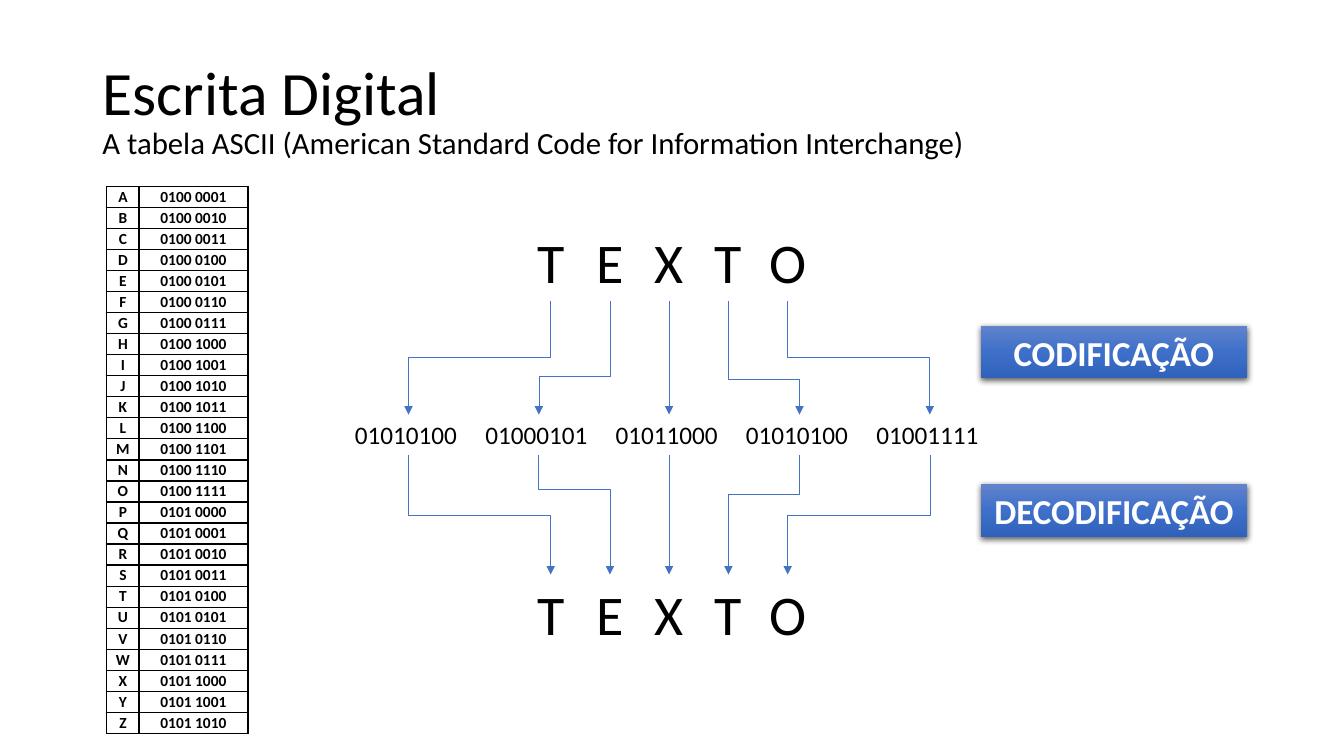
from copy import deepcopy

from pptx import Presentation
from pptx.dml.color import RGBColor
from pptx.enum.shapes import MSO_CONNECTOR as Link, MSO_SHAPE as Preset
from pptx.enum.text import MSO_ANCHOR as Anchor, MSO_AUTO_SIZE as AutoSize, PP_ALIGN as Align
from pptx.oxml import parse_xml
from pptx.oxml.ns import nsdecls, qn
from pptx.oxml.xmlchemy import OxmlElement
from pptx.util import Pt

COLORS = {
    "text": "000000", "grid": "000000", "arrow": "4472C4", "label": "FFFFFF",
    "label_top": "6183CB", "label_middle": "3E70CA", "label_bottom": "3062BB",
    "shadow": "000000",
}
FONT = "Calibri"
WORD = "TEXTO"
LETTER_PITCH, CODE_PITCH = 42.3, 93.1
LETTER_SIZE, CODE_SIZE = (44.6, 55.7), (90.7, 29.1)


def color(name):
    return RGBColor.from_string(COLORS[name])


def binary(letter):
    return f"{ord(letter):08b}"


def style(run, size, color_name="text", bold=False):
    for key, value in {"name": FONT, "size": Pt(size), "bold": bold}.items():
        setattr(run.font, key, value)
    run.font.color.rgb = color(color_name)


def add_title(slide, box, heading, subtitle):
    title = slide.shapes.title
    for key, value in zip(("left", "top", "width", "height"), box):
        setattr(title, key, Pt(value))
    frame = title.text_frame
    frame.auto_size = AutoSize.NONE
    frame.vertical_anchor = Anchor.MIDDLE
    line = frame.paragraphs[0]
    line.alignment, line.line_spacing = Align.LEFT, 0.9
    heading_run = line.add_run()
    heading_run.text = heading
    style(heading_run, 44)
    line.add_line_break()
    subtitle_run = line.add_run()
    subtitle_run.text = subtitle
    style(subtitle_run, 22)


def add_borders(cell):
    properties = cell._tc.get_or_add_tcPr()
    for side in ("lnL", "lnR", "lnT", "lnB"):
        properties.append(parse_xml(
            f'<a:{side} {nsdecls("a")} w="12700"><a:solidFill>'
            f'<a:srgbClr val="{COLORS["grid"]}"/></a:solidFill></a:{side}>'))


def add_ascii_table(slide, box, letters, letter_width):
    left, top, width, height = box
    table = slide.shapes.add_table(len(letters), 2, *map(Pt, box)).table
    table.first_row = table.horz_banding = False
    table.columns[0].width = Pt(letter_width)
    table.columns[1].width = Pt(width - letter_width)
    for row, letter in zip(table.rows, letters):
        row.height = Pt(height / len(letters))
        code = binary(letter)
        for cell, text in zip(row.cells, (letter, f"{code[:4]} {code[4:]}")):
            for side in ("left", "right", "top", "bottom"):
                setattr(cell, f"margin_{side}", Pt(0.72))
            cell.vertical_anchor = Anchor.MIDDLE
            cell.text = text
            line = cell.text_frame.paragraphs[0]
            line.alignment = Align.CENTER
            style(line.runs[0], 11, bold=True)
            add_borders(cell)
            cell.fill.background()


def centers(middle, pitch):
    return [middle + pitch * (i - (len(WORD) - 1) / 2) for i in range(len(WORD))]


def add_text_row(slide, top, texts, text_centers, box_size, font_size, align):
    width, height = box_size
    for text, center in zip(texts, text_centers):
        box = slide.shapes.add_textbox(
            *map(Pt, (center - width / 2, top, width, height)))
        frame = box.text_frame
        frame.word_wrap = True
        line = frame.paragraphs[0]
        line.alignment = align
        run = line.add_run()
        run.text = text
        style(run, font_size)


def add_down_arrow(slide, start, end, bend):
    """Elbow arrow that leaves downwards and turns at the fraction bend."""
    (x1, y1), (x2, y2) = start, end
    mid_x, mid_y = (x1 + x2) / 2, (y1 + y2) / 2
    run, rise = (y2 - y1) / 2, abs(x2 - x1) / 2
    mirrored = x2 >= x1
    if mirrored:
        run = -run
    arrow = slide.shapes.add_connector(
        Link.ELBOW, *map(Pt, (mid_x - run, mid_y - rise, mid_x + run, mid_y + rise)))
    properties = arrow._element.spPr
    properties.find(qn("a:xfrm")).set("rot", str((270 if mirrored else 90) * 60000))
    guides = properties.find(qn("a:prstGeom")).get_or_add_avLst()
    guide = OxmlElement("a:gd")
    guide.set("name", "adj1")
    guide.set("fmla", f"val {round(bend * 100000)}")
    guides.append(guide)
    arrow.line.width = Pt(0.5)
    arrow.line.color.rgb = color("arrow")
    head = OxmlElement("a:tailEnd")
    head.set("type", "triangle")
    arrow.line._get_or_add_ln().append(head)
    properties.append(OxmlElement("a:effectLst"))


def add_arrows(slide, top, bottom, starts, ends, bends):
    for start, end, bend in zip(starts, ends, bends):
        add_down_arrow(slide, (start, top), (end, bottom), bend)


def add_label(slide, box, text):
    label = slide.shapes.add_shape(Preset.RECTANGLE, *map(Pt, box))
    label.line.fill.background()
    label.fill.gradient()
    label.fill.gradient_angle = 270
    properties = label._element.spPr
    stops = properties.find(qn("a:gradFill")).find(qn("a:gsLst"))
    stops.insert(1, deepcopy(stops[0]))
    names = ("label_top", "label_middle", "label_bottom")
    for stop, name, position in zip(label.fill.gradient_stops, names, (0, 0.5, 1)):
        stop.color.rgb = color(name)
        stop.position = position
    properties.append(parse_xml(
        f'<a:effectLst {nsdecls("a")}><a:outerShdw blurRad="{Pt(4.5)}" dist="{Pt(1.5)}" '
        f'dir="5400000" algn="ctr" rotWithShape="0"><a:srgbClr val="{COLORS["shadow"]}">'
        '<a:alpha val="63000"/></a:srgbClr></a:outerShdw></a:effectLst>'))
    frame = label.text_frame
    frame.word_wrap = False
    line = frame.paragraphs[0]
    line.alignment = Align.CENTER
    run = line.add_run()
    run.text = text
    style(run, 25, "label", bold=True)


def add_coding_diagram(slide, box):
    """Word to codes and back to the word, with a label beside each step."""
    left, top, width, height = box
    codes_top = top + 136.8
    word_top = top + height - LETTER_SIZE[1]
    middle = left + 231.8
    letter_centers = centers(middle, LETTER_PITCH)
    code_centers = centers(middle, CODE_PITCH)
    for row_top in (top, word_top):
        add_text_row(slide, row_top, WORD, letter_centers, LETTER_SIZE, 40, Align.CENTER)
    add_text_row(slide, codes_top, map(binary, WORD), code_centers,
                 CODE_SIZE, 18, Align.LEFT)
    add_arrows(slide, top + LETTER_SIZE[1], codes_top, letter_centers, code_centers,
               (0.5, 0.66, 0.5, 0.69, 0.5))
    add_arrows(slide, codes_top + CODE_SIZE[1], word_top, code_centers, letter_centers,
               (0.5, 0.29, 0.5, 0.33, 0.5))
    label_width, label_height = 190, 37.6
    for offset, text in ((73.4, "CODIFICAÇÃO"), (186.5, "DECODIFICAÇÃO")):
        add_label(slide, (left + width - label_width, top + offset,
                          label_width, label_height), text)


def main():
    deck = Presentation()
    deck.slide_width, deck.slide_height = Pt(960), Pt(540)
    slide = deck.slides.add_slide(deck.slide_layouts[5])
    add_title(slide, (66, 27.6, 828, 104.4), "Escrita Digital",
              "A tabela ASCII (American Standard Code for Information Interchange)")
    add_ascii_table(slide, (76.3, 133.2, 100.8, 385.2), "ABCDEFGHIJKLMNOPQRSTUVWXYZ", 23)
    add_coding_diagram(slide, (246.2, 159.3, 644.4, 306.8))
    deck.save("out.pptx")


if __name__ == "__main__":
    main()
